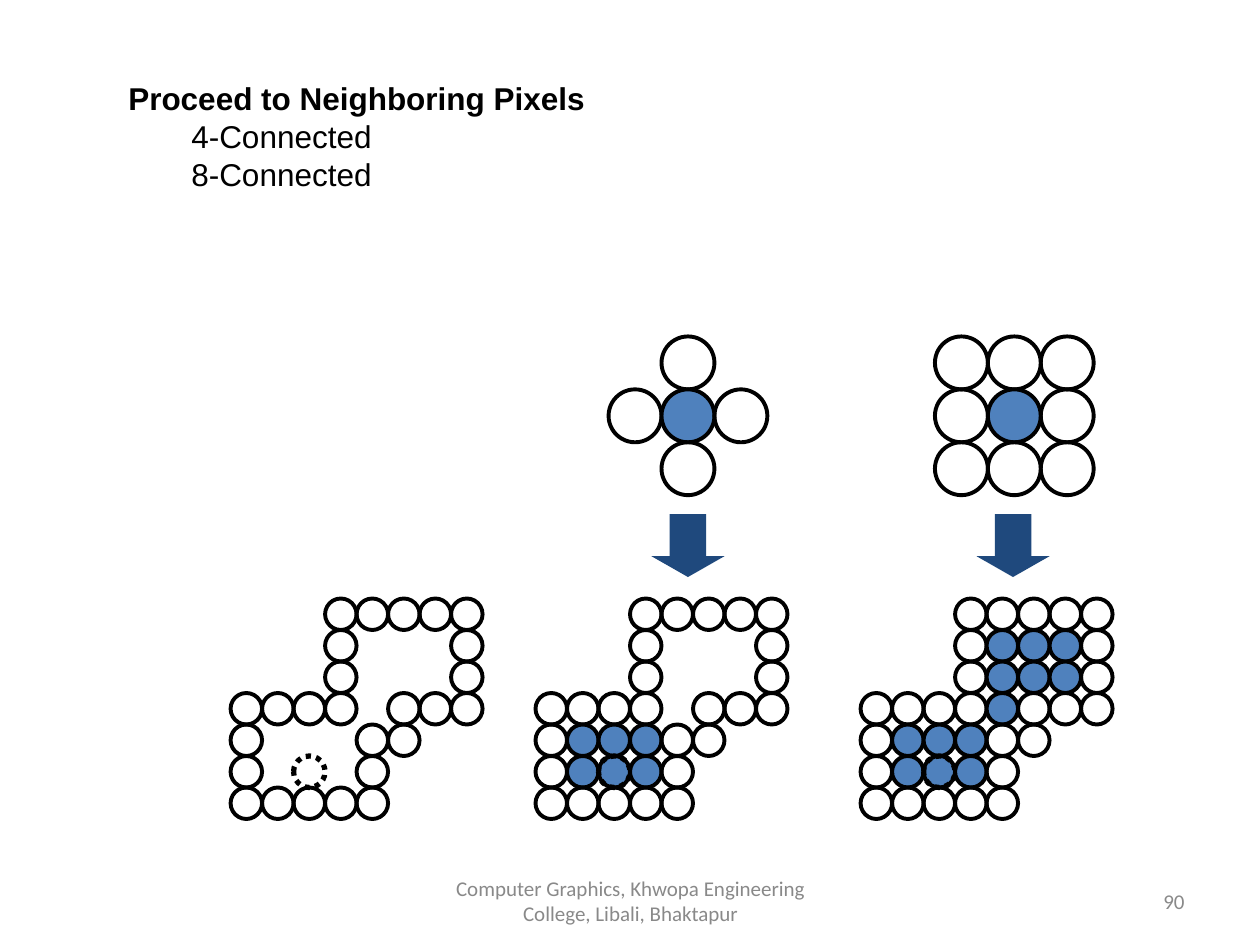
from pptx import Presentation
from pptx.dml.color import RGBColor
from pptx.enum.dml import MSO_LINE_DASH_STYLE as Dash
from pptx.enum.shapes import MSO_SHAPE as Shape
from pptx.enum.text import MSO_ANCHOR as Anchor, MSO_AUTO_SIZE as AutoSize, PP_ALIGN as Align
from pptx.util import Inches, Pt

BLACK = RGBColor(0x00, 0x00, 0x00)
GRAY = RGBColor(0x89, 0x89, 0x89)
BLUE = RGBColor(0x4F, 0x81, 0xBD)
NAVY = RGBColor(0x1F, 0x49, 0x7D)

# Pixel maps: o = outline pixel, other letters = pixels that may be filled
FOUR_NEIGHBORS = [" o ",
                  "oxo",
                  " o "]
EIGHT_NEIGHBORS = ["ooo",
                   "oxo",
                   "ooo"]
REGION = ["   ooooo",
          "   obbbo",
          "   obbbo",
          "oooobooo",
          "oaaaoo",
          "oaaao",
          "ooooo"]
SEED_ROW, SEED_COL = 5, 2
NEIGHBOR_SIZE, PIXEL_SIZE = 0.42, 0.25
NEIGHBOR_TOP, ARROW_TOP, REGION_TOP = 2.67, 4.08, 4.75


def add_text(slide, box, lines, font, size, color, align=Align.LEFT, anchor=Anchor.TOP):
    sp = slide.shapes.add_textbox(*map(Inches, box))
    tf = sp.text_frame
    tf.word_wrap = True
    tf.vertical_anchor = anchor
    tf.text = "\n".join(lines)
    for p in tf.paragraphs:
        p.alignment = align
        for r in p.runs:
            r.font.name, r.font.size = font, Pt(size)
            r.font.color.rgb = color
    return tf


def add_pixel(slide, left, top, size, fill=None, dotted=False):
    s = slide.shapes.add_shape(Shape.OVAL, *map(Inches, (left, top, size, size)))
    s.shadow.inherit = False
    if fill is None:
        s.fill.background()
    else:
        s.fill.solid()
        s.fill.fore_color.rgb = fill
    s.line.color.rgb = BLACK
    s.line.width = Pt(3 if dotted else 2.25)
    if dotted:
        s.line.dash_style = Dash.ROUND_DOT


def add_pixel_map(slide, left, top, size, rows, filled):
    """Draw the outline pixels and those whose letter is in filled."""
    for i, row in enumerate(rows):
        for j, mark in enumerate(row):
            if mark == "o" or mark in filled:
                add_pixel(slide, left + j * size, top + i * size, size,
                          BLUE if mark in filled else None)


def add_region(slide, left, filled):
    add_pixel_map(slide, left, REGION_TOP, PIXEL_SIZE, REGION, filled)
    add_pixel(slide, left + SEED_COL * PIXEL_SIZE, REGION_TOP + SEED_ROW * PIXEL_SIZE,
              PIXEL_SIZE, dotted=True)


def add_arrow(slide, left):
    s = slide.shapes.add_shape(Shape.DOWN_ARROW, *map(Inches, (left, ARROW_TOP, 0.58, 0.5)))
    s.shadow.inherit = False
    s.adjustments[0], s.adjustments[1] = 0.5, 0.33
    s.fill.solid()
    s.fill.fore_color.rgb = NAVY
    s.line.fill.background()


def main():
    prs = Presentation()
    prs.slide_width, prs.slide_height = Inches(10), Inches(7.5)
    slide = prs.slides.add_slide(prs.slide_layouts[6])

    # Footer
    add_text(slide, (7.17, 6.95, 2.33, 0.4), ["90"], "Calibri", 12, GRAY,
             Align.RIGHT, Anchor.MIDDLE)
    add_text(slide, (3.42, 6.95, 3.17, 0.4),
             ["Computer Graphics, Khwopa Engineering College, Libali, Bhaktapur"],
             "Calibri", 12, GRAY, Align.CENTER, Anchor.MIDDLE)

    # Heading with its two indented cases
    tf = add_text(slide, (0.92, 0.58, 5, 1),
                  ["Proceed to Neighboring Pixels", "4-Connected", "8-Connected"],
                  "Arial", 18, BLACK)
    tf.auto_size = AutoSize.SHAPE_TO_FIT_TEXT
    heading, *cases = tf.paragraphs
    heading.runs[0].font.bold = True
    for p in cases:
        p.level = 1
        pPr = p._p.get_or_add_pPr()
        pPr.set("marL", str(Inches(0.5)))
        pPr.set("indent", "0")

    # Neighborhoods
    add_pixel_map(slide, 4.83, NEIGHBOR_TOP, NEIGHBOR_SIZE, FOUR_NEIGHBORS, "x")
    add_pixel_map(slide, 7.42, NEIGHBOR_TOP, NEIGHBOR_SIZE, EIGHT_NEIGHBORS, "x")

    # Region before filling, 4-connected fill, 8-connected fill
    for left, filled in ((1.83, ""), (4.25, "a"), (6.83, "ab")):
        add_region(slide, left, filled)

    # Arrows from each neighborhood to its result
    for left in (5.17, 7.75):
        add_arrow(slide, left)

    prs.save("out.pptx")


if __name__ == "__main__":
    main()
